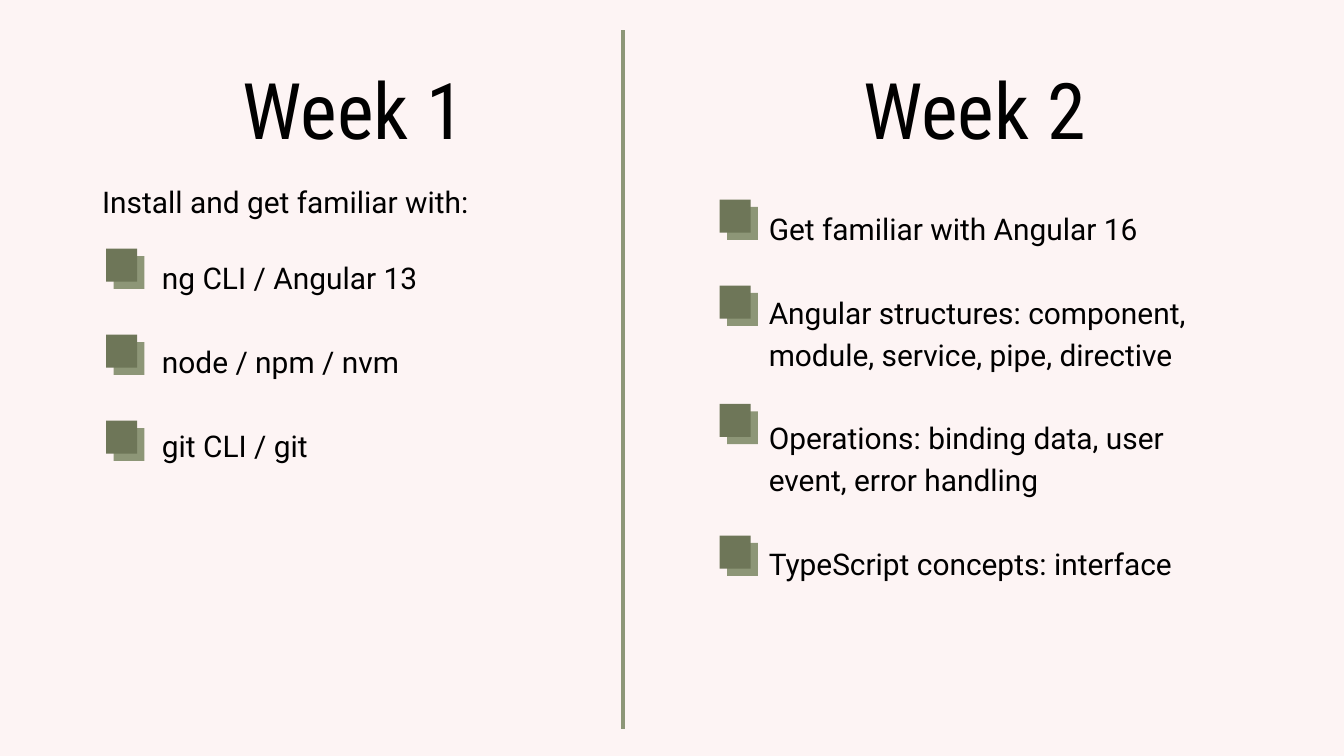
from dataclasses import dataclass

from lxml import etree
from pptx import Presentation
from pptx.dml.color import RGBColor
from pptx.enum.shapes import MSO_CONNECTOR, MSO_SHAPE
from pptx.enum.text import MSO_ANCHOR, PP_ALIGN
from pptx.oxml.ns import qn
from pptx.util import Inches, Pt

LEFT, CENTER = PP_ALIGN.LEFT, PP_ALIGN.CENTER
TOP = MSO_ANCHOR.TOP
RECTANGLE = MSO_SHAPE.RECTANGLE
STRAIGHT = MSO_CONNECTOR.STRAIGHT
COLUMNS, ROWS = 200, 112.5
WIDTH, HEIGHT = Inches(20), Inches(11.25)


@dataclass(frozen=True)
class Theme:
    """Colours, fonts and type sizes of the slide."""

    background: RGBColor = RGBColor.from_string("FDF4F4")
    ink: RGBColor = RGBColor.from_string("000000")
    light: RGBColor = RGBColor.from_string("8D9677")
    dark: RGBColor = RGBColor.from_string("6E7658")
    title_font: str = "Roboto Condensed"
    body_font: str = "Roboto"
    title_size: float = 83.6
    title_leading: float = 117
    body_size: float = 32
    body_leading: float = 44.8
    divider: float = 4.5


THEME = Theme()
TITLE = {
    "font": {"name": THEME.title_font, "size": Pt(THEME.title_size)},
    "para": {"alignment": CENTER, "line_spacing": Pt(THEME.title_leading)},
}
BODY = {
    "font": {"name": THEME.body_font, "size": Pt(THEME.body_size)},
    "para": {"alignment": LEFT, "line_spacing": Pt(THEME.body_leading)},
}
FRAME = {
    "word_wrap": True,
    "vertical_anchor": TOP,
    "margin_left": 0,
    "margin_right": 0,
    "margin_top": 0,
    "margin_bottom": 0,
}
WEEKS = [
    {
        "title": ("Week 1", 21.5),
        "intro": ("Install and get familiar with:", (15.2, 26.4, 77.5, 6.1)),
        "items": ["ng CLI / Angular 13", "node / npm / nvm", "git CLI / git"],
        "list_area": (24.1, 37.8, 68.6, 30.7),
        "marker_column": 15.8,
        "marker_rows": [37, 49.8, 62.6],
    },
    {
        "title": ("Week 2", 113.9),
        "intro": None,
        "items": [
            "Get familiar with Angular 16",
            "Angular structures: component, module, service, pipe, directive",
            "Operations: binding data, user event, error handling",
            "TypeScript concepts: interface",
        ],
        "list_area": (114.4, 30.5, 68.6, 55.3),
        "marker_column": 107.1,
        "marker_rows": [29.7, 42.5, 60.1, 79.7],
    },
]


def across(columns):
    """Turn grid columns into a length."""
    return round(WIDTH * columns / COLUMNS)


def down(rows):
    """Turn grid rows into a length."""
    return round(HEIGHT * rows / ROWS)


def place(column, row, columns, rows):
    """Turn a grid area into left, top, width and height."""
    return across(column), down(row), across(columns), down(rows)


def apply(target, values):
    """Set every attribute named in a dict of format values."""
    for name, value in values.items():
        setattr(target, name, value)


def add_text(page, area, lines, style):
    """Add a text box whose paragraphs are one blank line apart."""
    frame = page.shapes.add_textbox(*place(*area)).text_frame
    apply(frame, FRAME)
    for index, line in enumerate(lines):
        para = frame.add_paragraph() if index else frame.paragraphs[0]
        apply(para, style["para"])
        para.space_before = style["para"]["line_spacing"] if index else Pt(0)
        span = para.add_run()
        span.text = line
        apply(span.font, style["font"])
        span.font.color.rgb = THEME.ink


def add_marker(page, column, row):
    """Add a bullet made of two overlapping squares."""
    group = page.shapes.add_group_shape()
    for offset, color in ((1.1, THEME.light), (0, THEME.dark)):
        area = place(column + offset, row + offset, 4.6, 4.9)
        box = group.shapes.add_shape(RECTANGLE, *area)
        box.shadow.inherit = False
        box.fill.solid()
        box.fill.fore_color.rgb = color
        box.line.fill.background()


def add_divider(page, column, first_row, last_row):
    """Add the vertical line between the two weeks."""
    x = across(column)
    line = page.shapes.add_connector(STRAIGHT, x, down(first_row), x, down(last_row))
    line.line.color.rgb = THEME.light
    line.line.width = Pt(THEME.divider)
    etree.SubElement(line._element.spPr, qn("a:effectLst"))


def add_week(page, week):
    """Add the title, introduction, list and markers of one week."""
    title, column = week["title"]
    add_text(page, (column, 6.9, 62.3, 15.7), [title], TITLE)
    if week["intro"]:
        intro, area = week["intro"]
        add_text(page, area, [intro], BODY)
    add_text(page, week["list_area"], week["items"], BODY)
    for row in week["marker_rows"]:
        add_marker(page, week["marker_column"], row)


def main():
    """Build the slide and save the deck."""
    deck = Presentation()
    apply(deck, {"slide_width": WIDTH, "slide_height": HEIGHT})
    page = deck.slides.add_slide(deck.slide_layouts[6])
    page.background.fill.solid()
    page.background.fill.fore_color.rgb = THEME.background
    add_divider(page, 92.7, 4.5, 108.5)
    for week in WEEKS:
        add_week(page, week)
    deck.save("out.pptx")


if __name__ == "__main__":
    main()
